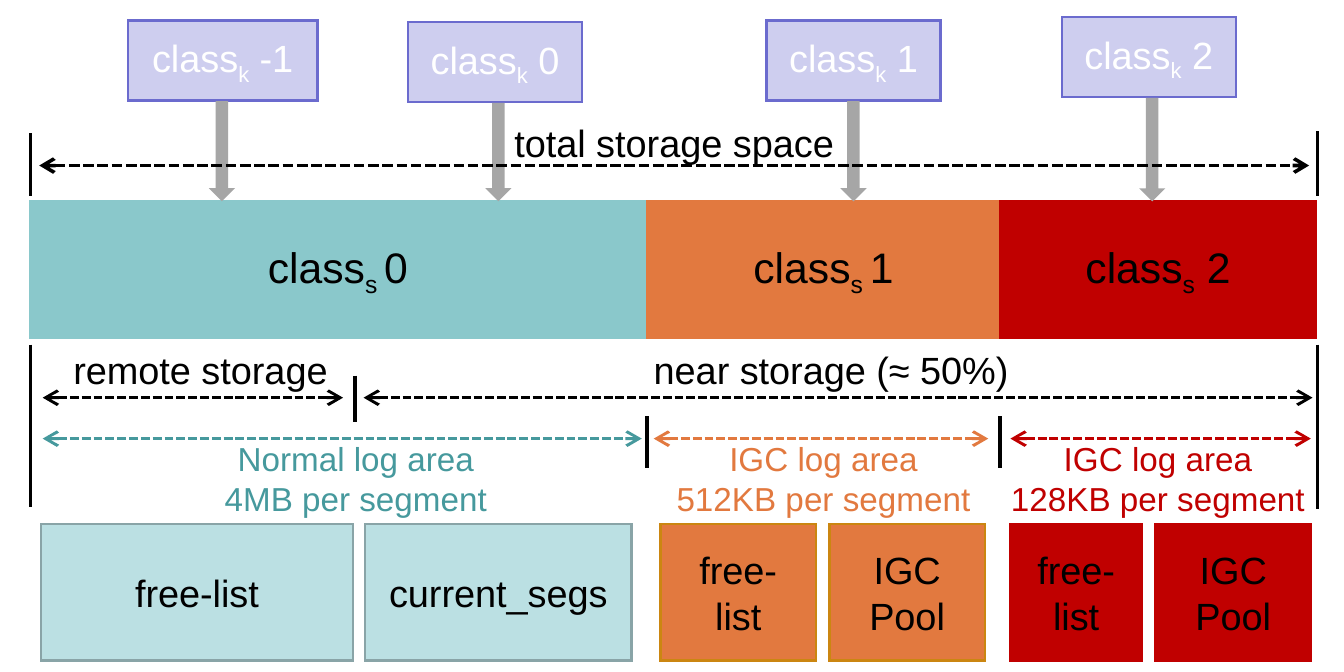
from lxml.etree import SubElement
from pptx import Presentation
from pptx.dml.color import RGBColor
from pptx.enum.dml import MSO_LINE
from pptx.enum.shapes import MSO_CONNECTOR, MSO_SHAPE
from pptx.enum.text import MSO_ANCHOR, PP_ALIGN
from pptx.oxml.ns import qn
from pptx.util import Cm, Inches, Pt

THEME = {
    "font": "Arial",
    "black": "000000", "white": "FFFFFF", "teal": "46999D",
    "orange": "E2793F", "red": "C00000",
    "big": 18, "mid": 16, "small": 14,
    # box style: fill, outline
    "key": ("CECEEF", "6B6BCE"), "arrow": ("A6A6A6", "A6A6A6"),
    "seg0": ("8AC8CB", "8AC8CB"), "seg1": ("E2793F", "E2793F"),
    "seg2": ("C00000", "C00000"), "pool0": ("BBE0E3", "89A4A7"),
    "pool1": ("E2793F", "CB8611"), "pool2": ("C00000", "C00000"),
}

# Text between bars is a subscript.
# text, left, top, width, arrow left
KEYS = [
    ("class|k| -1", 0.75, 0.12, 1.11, 1.24),
    ("class|k| 0", 2.39, 0.13, 1.02, 2.86),
    ("class|k| 1", 4.49, 0.12, 1.02, 4.94),
    ("class|k| 2", 6.22, 0.1, 1.02, 6.69),
]
# text, left, width, style
SEGS = [
    ("class|s |0", 0.18, 3.6, "seg0"),
    ("class|s |1", 3.79, 2.07, "seg1"),
    ("class|s| 2", 5.86, 1.85, "seg2"),
]
POOLS = [
    ("free-list", 0.24, 1.83, "pool0"),
    ("current_segs", 2.14, 1.56, "pool0"),
    ("free-list", 3.87, 0.91, "pool1"),
    ("IGC Pool", 4.86, 0.91, "pool1"),
    ("free-list", 5.92, 0.77, "pool2"),
    ("IGC Pool", 6.77, 0.91, "pool2"),
]
# text, left, top, width, height, size, colour
LABELS = [
    ("total storage space", 2.53, 0.65, 2.84, 0.37, "mid", "black"),
    ("remote storage", 0.28, 1.98, 1.79, 0.37, "mid", "black"),
    ("near storage (≈ 50%)", 3.7, 1.98, 2.34, 0.37, "mid", "black"),
    ("Normal log area\n4MB per segment", 0.79, 2.52, 2.59, 0.57, "small", "teal"),
    ("IGC log area\n512KB per segment", 3.82, 2.52, 2.01, 0.57, "small", "orange"),
    ("IGC log area\n128KB per segment", 5.77, 2.52, 2.03, 0.57, "small", "red"),
]
# x, top, bottom
TICKS = [
    (0.18, 0.78, 1.15), (7.72, 0.77, 1.15), (0.18, 2.02, 2.97),
    (7.72, 2.02, 2.98), (2.08, 2.2, 2.47), (3.79, 2.44, 2.74),
    (5.86, 2.44, 2.74),
]
# left, right, y, colour, width
SPANS = [
    (0.23, 7.67, 0.97, "black", 1.5),
    (0.25, 2.01, 2.33, "black", 1.25),
    (2.13, 7.69, 2.33, "black", 1.25),
    (0.25, 3.76, 2.57, "teal", 1.25),
    (3.83, 5.79, 2.57, "orange", 1.25),
    (5.92, 7.68, 2.57, "red", 1.25),
]
KEY_H, BAR_TOP, POOL_TOP, BAR_H = 0.47, 1.18, 3.07, 0.8
ARROW_W, GAP = 0.12, 0.01

deck = Presentation()
deck.slide_width, deck.slide_height = Cm(20), Cm(10)
slide = deck.slides.add_slide(deck.slide_layouts[6])
shapes = slide.shapes


def color(name):
    return RGBColor.from_string(THEME.get(name, name))


def write(shape, text, size, tint):
    """Fill a shape with centred lines, lowering each part between bars."""
    frame = shape.text_frame
    frame.word_wrap = True
    for i, line in enumerate(text.split("\n")):
        para = frame.add_paragraph() if i else frame.paragraphs[0]
        para.alignment = PP_ALIGN.CENTER
        for j, part in enumerate(line.split("|")):
            run = para.add_run()
            run.text = part
            look = {"name": THEME["font"], "size": Pt(THEME[size])}
            for key, value in look.items():
                setattr(run.font, key, value)
            run.font.color.rgb = color(tint)
            if j % 2:
                run.font._element.set("baseline", "-25000")


def add_box(kind, left, top, width, height, style):
    box = shapes.add_shape(kind, *map(Inches, (left, top, width, height)))
    fill, edge = THEME[style]
    box.shadow.inherit = False
    box.fill.solid()
    box.fill.fore_color.rgb = color(fill)
    box.line.color.rgb = color(edge)
    box.line.width = Pt(1)
    SubElement(box._element.spPr.get_or_add_ln(), qn("a:miter"), lim="800000")
    return box


def add_cell(text, left, top, width, height, style, size, tint="black"):
    box = add_box(MSO_SHAPE.RECTANGLE, left, top, width, height, style)
    box.text_frame.vertical_anchor = MSO_ANCHOR.MIDDLE
    write(box, text, size, tint)


def add_line(x1, y1, x2, y2, tint="black", width=1.5):
    line = shapes.add_connector(
        MSO_CONNECTOR.STRAIGHT, *map(Inches, (x1, y1, x2, y2)))
    line.line.color.rgb = color(tint)
    line.line.width = Pt(width)
    SubElement(line._element.spPr, qn("a:effectLst"))
    return line


def add_span(left, right, y, tint, width):
    """Draw a dashed line with an arrowhead at each end."""
    span = add_line(left, y, right, y, tint, width)
    span.line.dash_style = MSO_LINE.SQUARE_DOT
    for end in ("a:headEnd", "a:tailEnd"):
        SubElement(span._element.spPr.get_or_add_ln(), qn(end), type="arrow")


def main():
    for text, left, width, style in SEGS:
        add_cell(text, left, BAR_TOP, width, BAR_H, style, "big")
    for text, left, width, style in POOLS:
        add_cell(text, left, POOL_TOP, width, BAR_H, style, "mid")
    for text, left, top, width, tip in KEYS:
        add_cell(text, left, top, width, KEY_H, "key", "mid", "white")
        start = top + KEY_H + GAP
        add_box(MSO_SHAPE.DOWN_ARROW, tip, start, ARROW_W,
                BAR_TOP - GAP - start, "arrow")
    for text, left, top, width, height, size, tint in LABELS:
        label = shapes.add_textbox(*map(Inches, (left, top, width, height)))
        write(label, text, size, tint)
    for x, top, bottom in TICKS:
        add_line(x, top, x, bottom)
    for span in SPANS:
        add_span(*span)
    deck.save("out.pptx")


if __name__ == "__main__":
    main()
